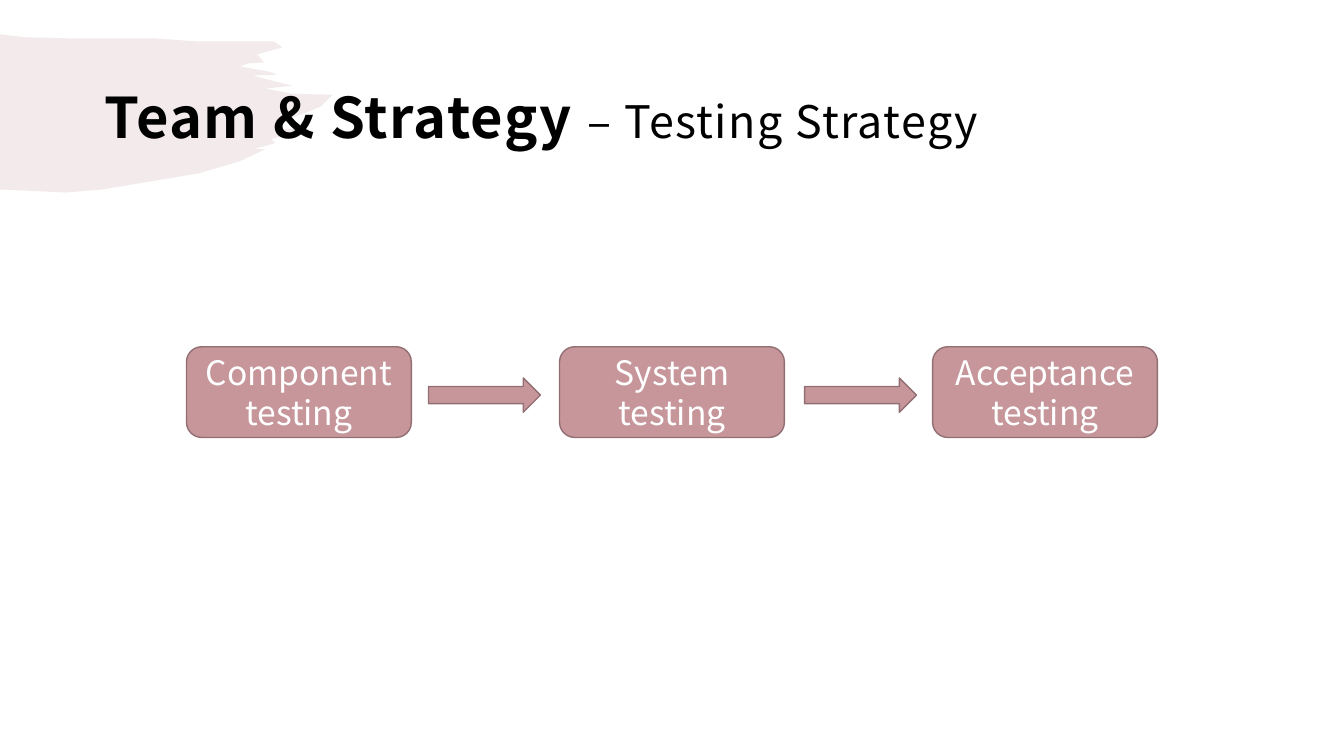
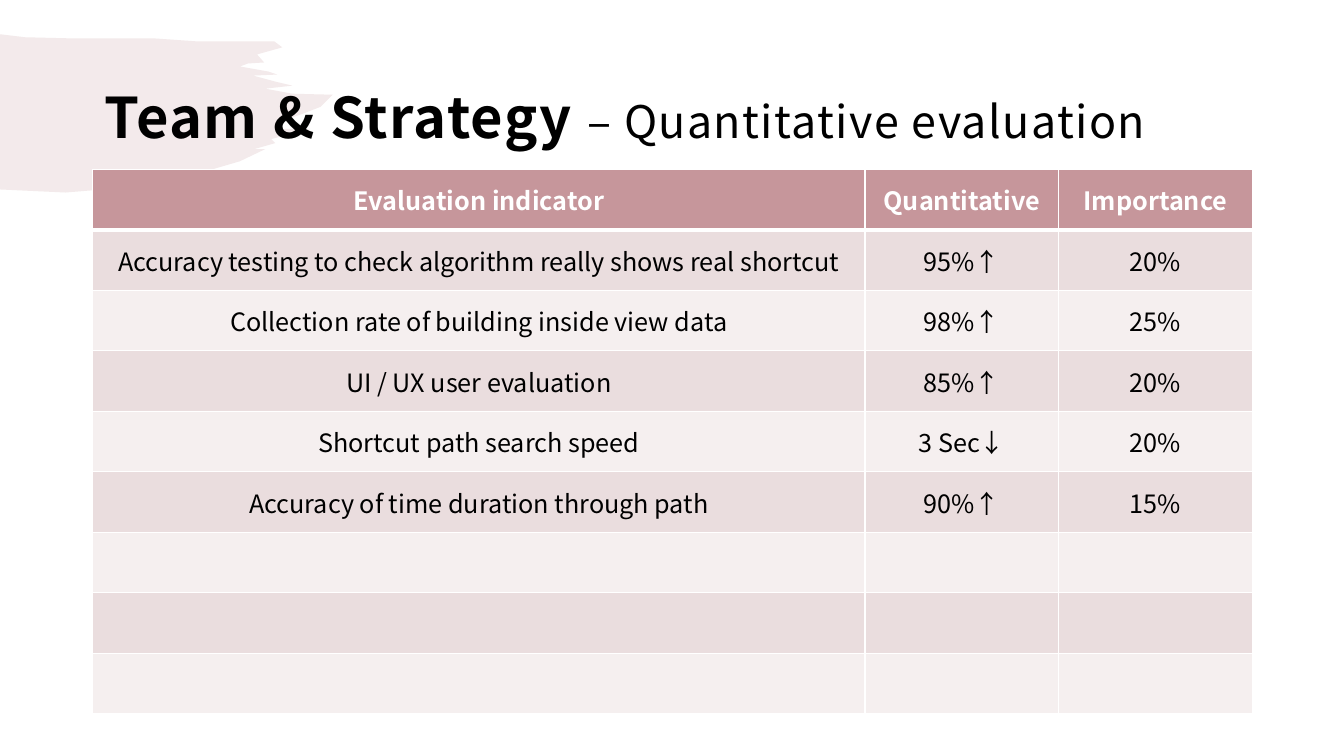
from lxml import etree
from pptx import Presentation
from pptx.dml.color import RGBColor
from pptx.enum.shapes import MSO_SHAPE
from pptx.enum.text import MSO_ANCHOR, PP_ALIGN
from pptx.oxml.ns import qn
from pptx.util import Pt

PX = 9144  # 100 px to the inch
FONT = "Noto Sans CJK KR"
COLORS = {
    "rose": "C6969B",
    "outline": "926F73",
    "band_dark": "EADDDE",
    "band_light": "F5EFEF",
    "white": "FFFFFF",
    "black": "000000",
}
CENTER = PP_ALIGN.CENTER
MIDDLE = MSO_ANCHOR.MIDDLE
ROUNDED_BOX = MSO_SHAPE.FLOWCHART_ALTERNATE_PROCESS
RIGHT_ARROW = MSO_SHAPE.RIGHT_ARROW

# Brush stroke outline in px: top edge, ragged tip, bottom edge
BRUSH_OUTLINE = [
    (0, 34), (25, 37), (66, 38), (151, 38), (194, 41), (248, 41), (272, 41), (280, 47),
    (255, 54), (262, 62), (246, 63), (238, 66), (266, 71), (275, 74), (251, 75),
    (273, 81), (290, 85), (263, 88), (290, 93), (330, 94), (318, 106),
    (300, 113), (280, 120), (274, 128), (308, 128), (269, 138), (273, 142),
    (252, 148), (263, 148), (238, 160), (197, 172), (102, 188), (65, 191), (0, 188),
]

SLIDE_TITLES = ["– Testing Strategy", "– Quantitative evaluation"]
STAGES = ["Component testing", "System testing", "Acceptance testing"]
COLUMN_WIDTHS = [766, 192, 192]
ROW_HEIGHT = 60
EVALUATION = [
    ("Evaluation indicator", "Quantitative", "Importance"),
    ("Accuracy testing to check algorithm really shows real shortcut", "95%↑", "20%"),
    ("Collection rate of building inside view data", "98%↑", "25%"),
    ("UI / UX user evaluation", "85%↑", "20%"),
    ("Shortcut path search speed", "3 Sec↓", "20%"),
    ("Accuracy of time duration through path", "90%↑", "15%"),
] + [("", "", "")] * 3


def add_text(paragraph, text, size=18, color="black", bold=False, spacing=0, align=None):
    """Append one formatted run to a paragraph."""
    if align is not None:
        paragraph.alignment = align
    run = paragraph.add_run()
    run.text = text
    run.font.size = Pt(size)
    run.font.bold = bold
    run.font.name = FONT
    run.font.color.rgb = RGBColor.from_string(COLORS[color])
    properties = run.font._element
    etree.SubElement(properties, qn("a:ea"), typeface=FONT)
    if spacing:
        properties.set("spc", str(spacing * 100))


def add_rose_shape(slide, kind, left, top, width, height):
    """Add a preset shape in the deck's fill and outline."""
    shape = slide.shapes.add_shape(kind, left * PX, top * PX, width * PX, height * PX)
    shape.shadow.inherit = False
    shape.fill.solid()
    shape.fill.fore_color.rgb = RGBColor.from_string(COLORS["rose"])
    shape.line.color.rgb = RGBColor.from_string(COLORS["outline"])
    shape.line.width = Pt(1)
    return shape


presentation = Presentation()
presentation.slide_width = 1333 * PX
presentation.slide_height = 750 * PX

# Shared parts: brush stroke and title
slides = []
for subtitle in SLIDE_TITLES:
    slide = presentation.slides.add_slide(presentation.slide_layouts[6])
    slides.append(slide)

    builder = slide.shapes.build_freeform(*BRUSH_OUTLINE[0], scale=PX)
    builder.add_line_segments(BRUSH_OUTLINE[1:], close=True)
    brush = builder.convert_to_shape()
    brush.shadow.inherit = False
    brush.line.fill.background()
    brush.fill.solid()
    brush.fill.fore_color.rgb = RGBColor.from_string(COLORS["rose"])
    brush_color = brush._element.spPr.find(qn("a:solidFill")).find(qn("a:srgbClr"))
    etree.SubElement(brush_color, qn("a:alpha"), val="20000")

    title = slide.shapes.add_textbox(92 * PX, 40 * PX, 1150 * PX, 145 * PX)
    frame = title.text_frame
    frame.word_wrap = True
    frame.vertical_anchor = MIDDLE
    frame.margin_left = frame.margin_right = frame.margin_top = 12 * PX
    frame.margin_bottom = 10 * PX
    paragraph = frame.paragraphs[0]
    paragraph.line_spacing = 1.05
    add_text(paragraph, "Team & Strategy ", size=40, bold=True, spacing=1)
    add_text(paragraph, subtitle, size=32, spacing=1)

strategy_slide, evaluation_slide = slides

# Testing stages, joined by arrows
for index, stage in enumerate(STAGES):
    box = add_rose_shape(strategy_slide, ROUNDED_BOX, 185 + 370 * index, 344, 223, 90)
    box.text_frame.word_wrap = True
    box.text_frame.vertical_anchor = MIDDLE
    add_text(box.text_frame.paragraphs[0], stage, size=24, color="white", align=CENTER)
for index in range(len(STAGES) - 1):
    add_rose_shape(strategy_slide, RIGHT_ARROW, 425 + 373 * index, 375, 111, 34)

# Evaluation table
table = evaluation_slide.shapes.add_table(
    len(EVALUATION), len(COLUMN_WIDTHS), 92 * PX, 168 * PX,
    sum(COLUMN_WIDTHS) * PX, ROW_HEIGHT * len(EVALUATION) * PX).table
for column, width in zip(table.columns, COLUMN_WIDTHS):
    column.width = width * PX
for row_index, values in enumerate(EVALUATION):
    table.rows[row_index].height = ROW_HEIGHT * PX
    is_header = row_index == 0
    band = "rose" if is_header else "band_dark" if row_index % 2 else "band_light"
    borders = {"lnL": 1, "lnR": 1, "lnT": 3 if row_index == 1 else 1, "lnB": 3 if is_header else 1}
    for column_index, value in enumerate(values):
        cell = table.cell(row_index, column_index)
        cell.vertical_anchor = MIDDLE
        properties = cell._tc.get_or_add_tcPr()
        for side, points in borders.items():
            border = etree.SubElement(properties, qn("a:" + side), w=str(Pt(points)))
            border_fill = etree.SubElement(border, qn("a:solidFill"))
            etree.SubElement(border_fill, qn("a:srgbClr"), val=COLORS["white"])
        cell.fill.solid()
        cell.fill.fore_color.rgb = RGBColor.from_string(COLORS[band])
        if value:
            add_text(cell.text_frame.paragraphs[0], value, bold=is_header,
                     color="white" if is_header else "black", align=CENTER)

presentation.save("out.pptx")
